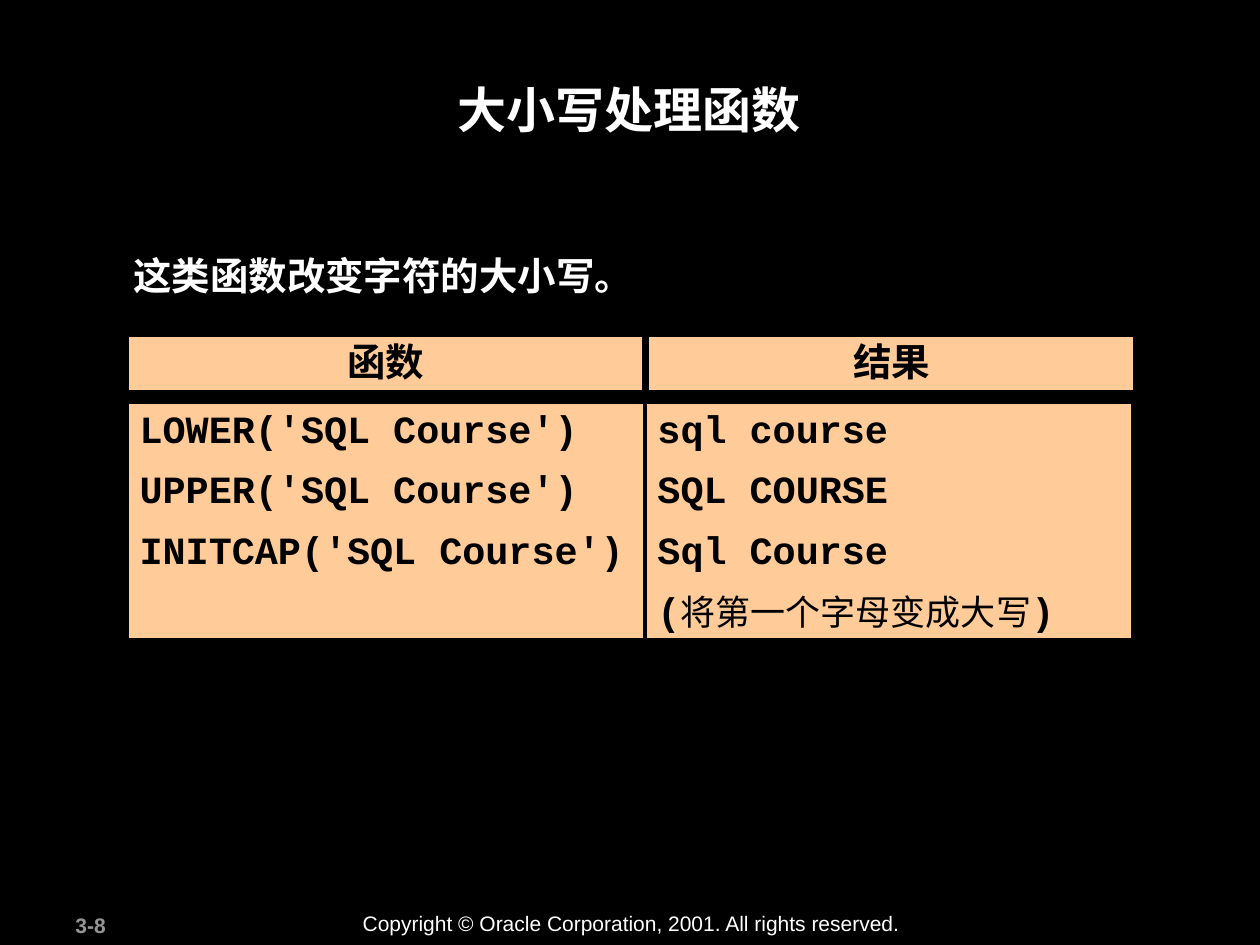
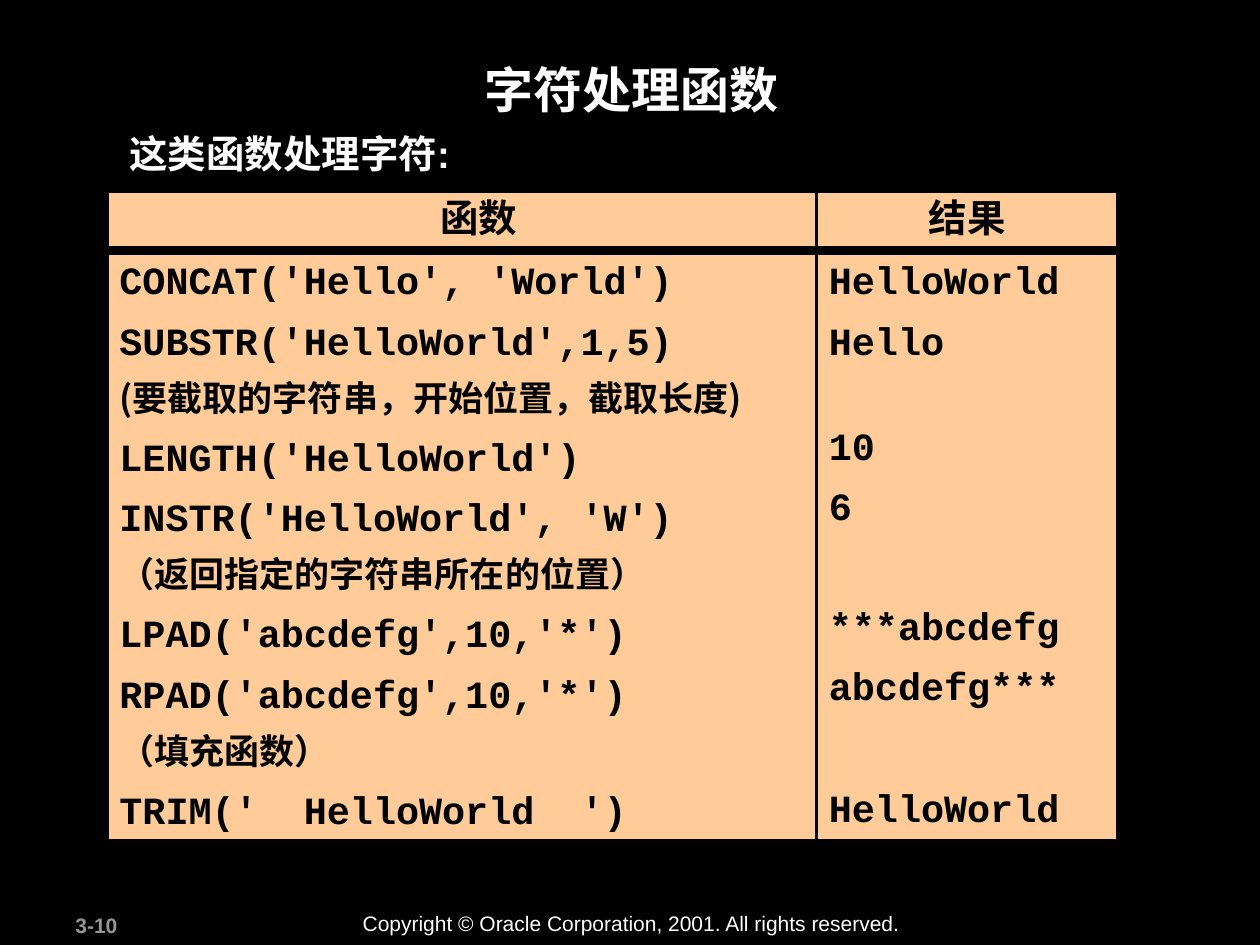
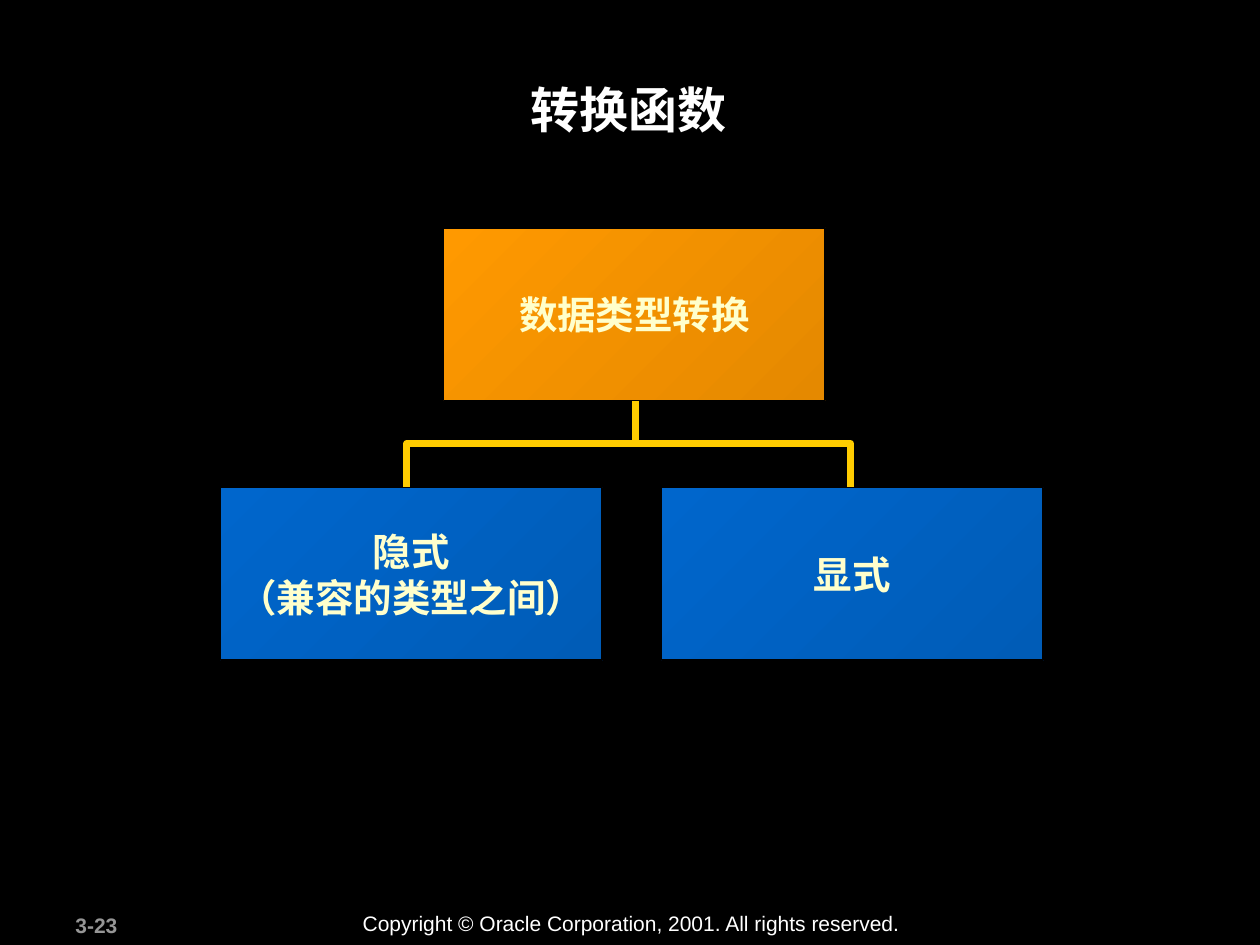
from dataclasses import dataclass

from lxml.etree import SubElement
from pptx import Presentation
from pptx.dml.color import RGBColor
from pptx.enum.shapes import MSO_CONNECTOR, MSO_SHAPE
from pptx.enum.text import MSO_ANCHOR as Anchor, PP_ALIGN as Align
from pptx.oxml.ns import qn
from pptx.util import Inches, Pt


@dataclass(frozen=True)
class Theme:
    background: str = "000000"
    panel: str = "FFCC99"
    outline: str = "000000"
    connector: str = "FFCC00"
    orange: tuple = ("FF9900", "E58900")
    blue: tuple = ("0066CC", "005CB7")
    east_asian: str = "Noto Sans CJK SC"
    line_spacing: float = 0.95
    code_gap: float = 9.6
    note_gap: float = 8.8


THEME = Theme()

STYLES = {
    "title": ("FFFFFF", {"name": "Arial", "size": Pt(28), "bold": True}),
    "lead": ("FFFFFF", {"name": "Arial", "size": Pt(22), "bold": True}),
    "heading": ("000000", {"name": "Arial", "size": Pt(22), "bold": True}),
    "code": ("000000", {"name": "Courier New", "size": Pt(22), "bold": True}),
    "note": ("000000", {"name": THEME.east_asian, "size": Pt(20), "bold": True}),
    "remark": ("000000", {"name": "Times New Roman", "size": Pt(20), "bold": False}),
    "node": ("FFFFCC", {"name": "Arial", "size": Pt(22), "bold": True}),
    "page": ("969696", {"name": "Arial", "size": Pt(12), "bold": True}),
    "copyright": ("FFFFFF", {"name": "Arial", "size": Pt(12), "bold": False}),
}

COPYRIGHT = "Copyright © Oracle Corporation, 2001. All rights reserved."
HEADINGS = ("函数", "结果")
HEADING_HEIGHT = 0.45


def code(text, gap=THEME.code_gap):
    return [(text, "code")], gap


def note(text):
    return [(text, "note")], THEME.note_gap


CASE_SLIDE = {
    "page": "3-8",
    "title": ("大小写处理函数", 0.94, 0.58),
    "lead": ("这类函数改变字符的大小写。", 0.96, 1.98),
    "heading_top": 2.66,
    "heading_spans": [(1.01, 4.1), (5.14, 3.87)],
    "panel_top": 3.19,
    "panel_height": 1.89,
    "panel_spans": [(1.01, 4.18), (5.12, 3.87)],
    "columns": [
        [
            code("LOWER('SQL Course')"),
            code("UPPER('SQL Course')"),
            code("INITCAP('SQL Course')"),
        ],
        [
            code("sql course"),
            code("SQL COURSE"),
            code("Sql Course"),
            ([("(", "code"), ("将第一个字母变成大写", "remark"), (")", "code")], THEME.code_gap),
        ],
    ],
}

CHARACTER_SLIDE = {
    "page": "3-10",
    "title": ("字符处理函数", 0.96, 0.42),
    "lead": ("这类函数处理字符:", 0.93, 1.01),
    "heading_top": 1.52,
    "heading_spans": [(0.85, 5.9), (6.48, 2.39)],
    "panel_top": 2.01,
    "panel_height": 4.66,
    "panel_spans": [(0.85, 5.66), (6.48, 2.39)],
    "columns": [
        [
            code("CONCAT('Hello', 'World')"),
            code("SUBSTR('HelloWorld',1,5)"),
            note("(要截取的字符串，开始位置，截取长度)"),
            code("LENGTH('HelloWorld')"),
            code("INSTR('HelloWorld', 'W')"),
            note("（返回指定的字符串所在的位置）"),
            code("LPAD('abcdefg',10,'*')"),
            code("RPAD('abcdefg',10,'*')"),
            note("（填充函数）"),
            code("TRIM('  HelloWorld  ')"),
        ],
        [
            code("HelloWorld"),
            code("Hello"),
            code("10", 35),
            code("6"),
            code("***abcdefg", 43),
            code("abcdefg***"),
            code("HelloWorld", 44.5),
        ],
    ],
}

CONVERSION_SLIDE = {
    "page": "3-23",
    "title": ("转换函数", 0.94, 0.58),
    "node_size": (3.03, 1.37),
    "nodes": [
        (["隐式", "（兼容的类型之间）"], 1.75, 3.87, THEME.blue),
        (["显式"], 5.25, 3.87, THEME.blue),
        (["数据类型转换"], 3.52, 1.81, THEME.orange),
    ],
    "trunk": [(5.04, 3.52), (5.04, 2.88)],
    "branches": [(3.23, 4.15), (3.23, 3.52), (6.75, 3.52), (6.75, 4.04)],
}


def colour(value):
    return RGBColor.from_string(value)


def apply(target, values):
    for name, value in values.items():
        setattr(target, name, value)


def write(shape, lines, spacing=1.0, align=Align.LEFT, anchor=Anchor.TOP, wrap=True):
    frame = shape.text_frame
    apply(frame, {"word_wrap": wrap, "vertical_anchor": anchor})
    for index, (runs, gap) in enumerate(lines):
        paragraph = frame.add_paragraph() if index else frame.paragraphs[0]
        apply(paragraph, {
            "alignment": align,
            "line_spacing": spacing,
            "space_before": Pt(gap if index else 0),
        })
        for text, style in runs:
            run = paragraph.add_run()
            run.text = text
            text_colour, values = STYLES[style]
            run.font.color.rgb = colour(text_colour)
            apply(run.font, values)
            latin = run.font._element.find(qn("a:latin"))
            east_asian = latin.makeelement(qn("a:ea"), {"typeface": THEME.east_asian})
            latin.addnext(east_asian)


def add_text(slide, text, style, box, **options):
    shape = slide.shapes.add_textbox(*map(Inches, box))
    write(shape, [([(text, style)], 0)], **options)


def add_box(slide, box, line_width):
    shape = slide.shapes.add_shape(MSO_SHAPE.RECTANGLE, *map(Inches, box))
    shape.shadow.inherit = False
    style_line(shape.line, THEME.outline, line_width)
    return shape


def add_panel(slide, box, lines, align=Align.LEFT):
    shape = add_box(slide, box, 2)
    shape.fill.solid()
    shape.fill.fore_color.rgb = colour(THEME.panel)
    write(shape, lines, THEME.line_spacing, align)


def style_line(line, line_colour, width):
    line.color.rgb = colour(line_colour)
    line.width = Pt(width)


def start_slide(presentation, content):
    slide = presentation.slides.add_slide(presentation.slide_layouts[6])
    add_text(slide, content["page"], "page", (0.5, 7.19, 1.05, 0.3))
    add_text(slide, COPYRIGHT, "copyright", (2.78, 7.18, 4.48, 0.3))
    title, left, top = content["title"]
    add_text(slide, title, "title", (left, top, 8.1, 0.96), align=Align.CENTER)
    return slide


def build_function_slide(presentation, content):
    slide = start_slide(presentation, content)
    lead, lead_left, lead_top = content["lead"]
    add_text(slide, lead, "lead", (lead_left, lead_top, 8.08, 0.45), spacing=THEME.line_spacing)
    for (left, width), lines in zip(content["panel_spans"], content["columns"]):
        add_panel(slide, (left, content["panel_top"], width, content["panel_height"]), lines)
    for (left, width), heading in zip(content["heading_spans"], HEADINGS):
        box = (left, content["heading_top"], width, HEADING_HEIGHT)
        add_panel(slide, box, [([(heading, "heading")], 0)], Align.CENTER)


def build_conversion_slide(presentation, content):
    slide = start_slide(presentation, content)
    start, end = content["trunk"]
    trunk = slide.shapes.add_connector(MSO_CONNECTOR.STRAIGHT, *map(Inches, start + end))
    style_line(trunk.line, THEME.connector, 4)
    SubElement(trunk._element.spPr, qn("a:effectLst"))

    points = [(Inches(x), Inches(y)) for x, y in content["branches"]]
    builder = slide.shapes.build_freeform(*points[0])
    builder.add_line_segments(points[1:], close=False)
    branches = builder.convert_to_shape()
    branches.shadow.inherit = False
    branches.fill.background()
    style_line(branches.line, THEME.connector, 4)

    for labels, left, top, shades in content["nodes"]:
        node = add_box(slide, (left, top, *content["node_size"]), 1)
        node.fill.gradient()
        node.fill.gradient_angle = 315
        for stop, shade in zip(node.fill.gradient_stops, shades):
            stop.color.rgb = colour(shade)
        lines = [([(label, "node")], 0) for label in labels]
        write(node, lines, align=Align.CENTER, anchor=Anchor.MIDDLE, wrap=False)


def main():
    presentation = Presentation()
    apply(presentation, {"slide_width": Inches(10), "slide_height": Inches(7.5)})
    background = presentation.slide_master.background.fill
    background.solid()
    background.fore_color.rgb = colour(THEME.background)
    build_function_slide(presentation, CASE_SLIDE)
    build_function_slide(presentation, CHARACTER_SLIDE)
    build_conversion_slide(presentation, CONVERSION_SLIDE)
    presentation.save("out.pptx")


if __name__ == "__main__":
    main()
